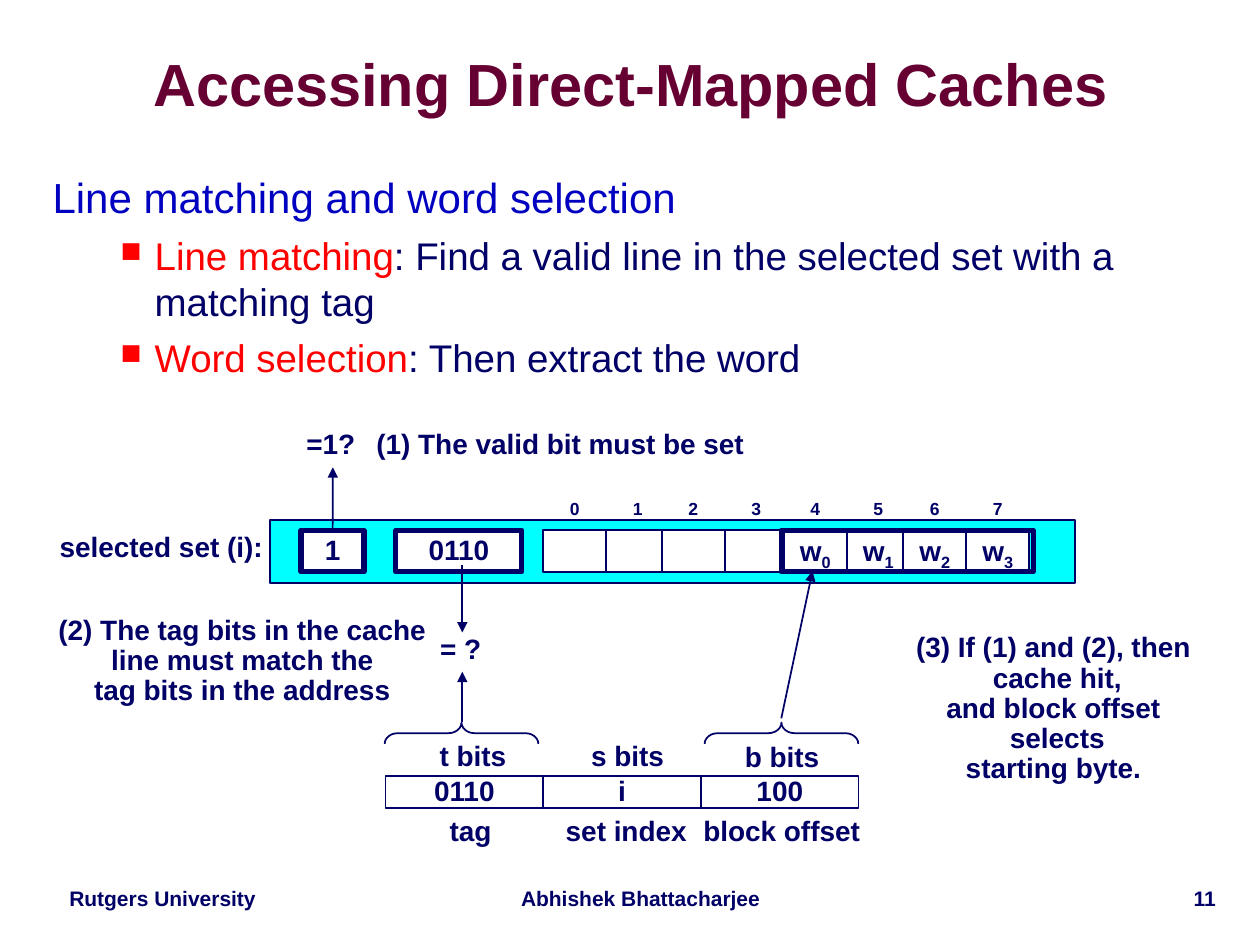
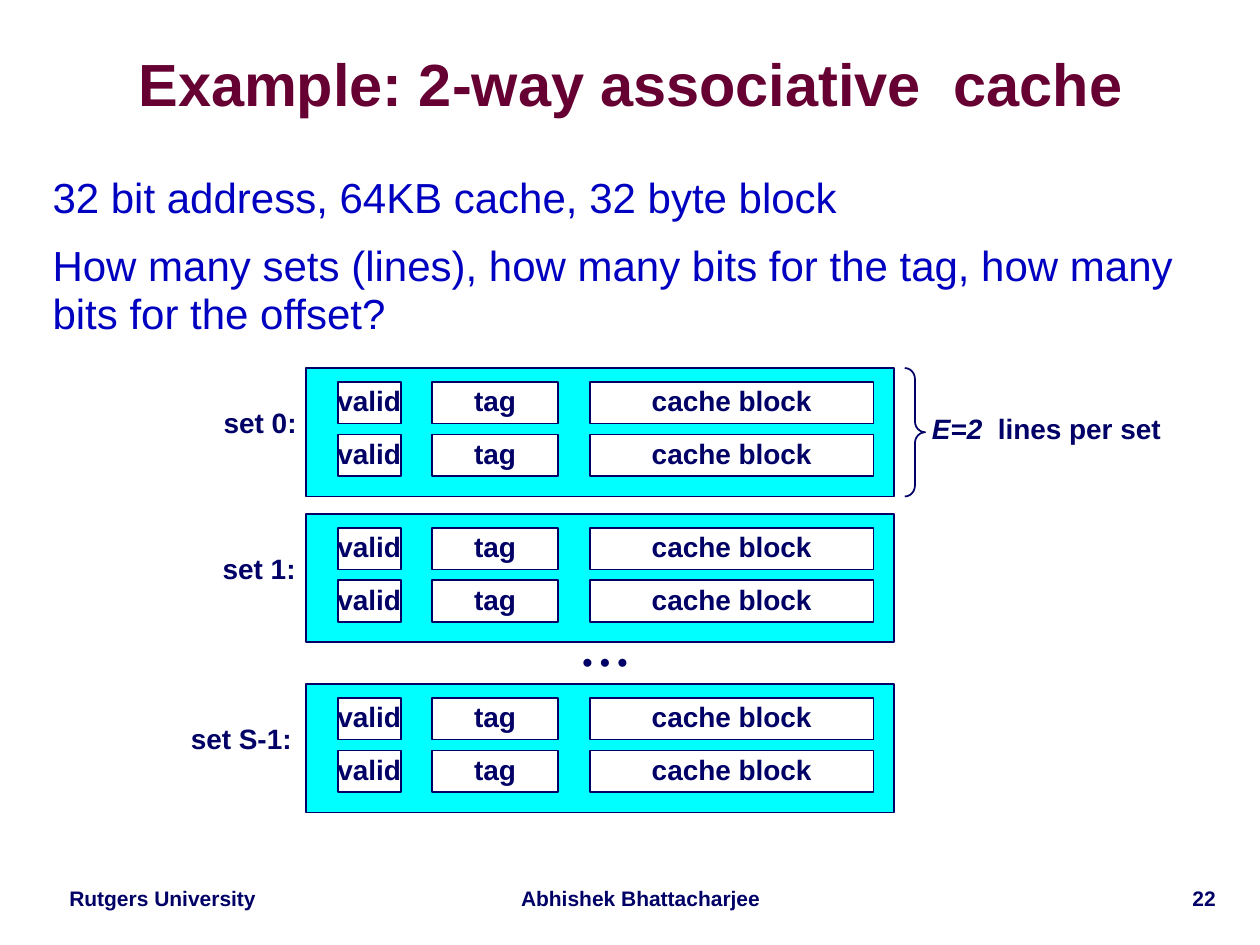
from lxml.etree import SubElement
from pptx import Presentation
from pptx.dml.color import RGBColor
from pptx.enum.shapes import MSO_CONNECTOR, MSO_SHAPE
from pptx.enum.text import MSO_ANCHOR, PP_ALIGN
from pptx.oxml.ns import qn
from pptx.util import Cm, Pt

NAVY = RGBColor(0x00, 0x00, 0x66)
WINE = RGBColor(0x66, 0x00, 0x33)
BLUE = RGBColor(0x00, 0x00, 0xC0)
RED = RGBColor(0xFF, 0x00, 0x00)
CYAN = RGBColor(0x00, 0xFF, 0xFF)
WHITE = RGBColor(0xFF, 0xFF, 0xFF)
FONT = "Arial"
CELL = 0.84


def style(par, size, color=NAVY, bold=True, align=PP_ALIGN.CENTER, space=0.9):
    """Set the font, alignment and line spacing of a paragraph."""
    par.alignment = align
    par.line_spacing = space
    font = par.font
    font.name, font.size, font.bold = FONT, Pt(size), bold
    font.color.rgb = color


def write(shape, text, size=16, **look):
    """Write centred lines of text that do not wrap."""
    frame = shape.text_frame
    frame.word_wrap = False
    frame.vertical_anchor = MSO_ANCHOR.MIDDLE
    frame.text = text
    for par in frame.paragraphs:
        style(par, size, **look)


def label(slide, text, x, y, w, h=0.94, size=16, **look):
    """Add a text box and return it."""
    item = slide.shapes.add_textbox(Cm(x), Cm(y), Cm(w), Cm(h))
    write(item, text, size, **look)
    return item


def shape(slide, kind, x, y, w, h, fill=None, line=1):
    """Add an outlined preset shape, filled if a colour is given."""
    item = slide.shapes.add_shape(kind, Cm(x), Cm(y), Cm(w), Cm(h))
    item.shadow.inherit = False
    item.line.color.rgb = NAVY
    item.line.width = Pt(line)
    if fill is None:
        item.fill.background()
    else:
        item.fill.solid()
        item.fill.fore_color.rgb = fill
    return item


def box(slide, x, y, w, h, text="", fill=WHITE, line=1):
    """Add a rectangle with optional text."""
    item = shape(slide, MSO_SHAPE.RECTANGLE, x, y, w, h, fill, line)
    if text:
        write(item, text)
    return item


def brace(slide, x, y, w, h, bend, turn=0):
    """Add a right brace, turned by some degrees."""
    item = shape(slide, MSO_SHAPE.RIGHT_BRACE, x, y, w, h)
    item.adjustments[0] = bend
    item.rotation = turn


def arrow(slide, x1, y1, x2, y2):
    """Add a line with an arrowhead at its end."""
    item = slide.shapes.add_connector(
        MSO_CONNECTOR.STRAIGHT, Cm(x1), Cm(y1), Cm(x2), Cm(y2))
    item.line.color.rgb = NAVY
    item.line.width = Pt(1)
    SubElement(item.line._get_or_add_ln(), qn("a:tailEnd"), type="triangle")
    SubElement(item._element.spPr, qn("a:effectLst"))
    return item


def body(slide):
    """Add the wide frame that holds the main text."""
    frame = slide.shapes.add_textbox(Cm(0.81), Cm(3.4), Cm(23.95), Cm(13.97)).text_frame
    frame.word_wrap = True
    return frame


def lead(par, text):
    """Write a blue top-level paragraph."""
    par.text = text
    style(par, 24, BLUE, False, PP_ALIGN.LEFT, 0.95)


def point(frame, term, rest):
    """Add a bullet that opens with a red term."""
    par = frame.add_paragraph()
    props = par._p.get_or_add_pPr()
    props.set("marL", str(Cm(2.06)))
    props.set("indent", str(Cm(-0.69)))
    SubElement(props, qn("a:buSzPct"), val="75000")
    SubElement(props, qn("a:buChar"), char="■")
    par.space_before = Pt(5.5)
    style(par, 22, NAVY, False, PP_ALIGN.LEFT, 1.0)
    for text, color in ((term, RED), (rest, NAVY)):
        run = par.add_run()
        run.text = text
        run.font.color.rgb = color


def page(deck, title, number):
    """Add a slide with its title and footers."""
    slide = deck.slides.add_slide(deck.slide_layouts[6])
    head = label(slide, title, 0.79, 0.69, 23.85, 2.16, 34, color=WINE, space=0.87)
    frame = head.text_frame
    frame.word_wrap = True
    frame.margin_left = frame.margin_right = frame.margin_top = frame.margin_bottom = 0
    for text, x, w, align in (
            ("Rutgers University", 0.84, 4.88, PP_ALIGN.CENTER),
            ("Abhishek Bhattacharjee", 10.16, 5.51, PP_ALIGN.CENTER),
            (str(number), 20.75, 4.01, PP_ALIGN.RIGHT)):
        foot = label(slide, text, x, 17.78, w, 0.71, 12, align=align)
        foot.text_frame.word_wrap = True
    return slide


def cache(slide):
    """Draw the selected set with its valid bit, tag and words."""
    top = 10.69
    box(slide, 5.44, 10.49, 16.23, 1.27, fill=CYAN)
    label(slide, "selected set (i):", 0.94, 10.59, 4.62)
    valid = box(slide, 6.07, top, 1.27, CELL, "1", line=3)
    box(slide, 7.98, top, 2.54, CELL, "0110", line=3)
    for byte, x in enumerate((10.95, 12.22, 13.34, 14.61, 15.8, 17.07, 18.21, 19.48)):
        label(slide, str(byte), x, 9.86, 1.27, CELL, 10)
        word = box(slide, x, top, 1.27, CELL, "w" if byte > 3 else "")
        if byte > 3:
            run = word.text_frame.paragraphs[0].add_run()
            run.text = str(byte - 4)
            run._r.get_or_add_rPr().set("baseline", "-25000")
    box(slide, 15.75, top, 5.08, CELL, fill=None, line=3)
    arrow(slide, 6.71, top, 6.71, 9.42).begin_connect(valid, 0)


def address(slide):
    """Draw the three address fields with their names."""
    for col, bits in enumerate(("0110", "i", "100")):
        box(slide, 7.77 + 3.18 * col, 15.65, 3.18, 0.64, bits, fill=None)
    for text, x, y, w in (
            ("t bits", 8.61, 14.81, 1.85), ("s bits", 11.66, 14.81, 1.98),
            ("b bits", 14.76, 14.83, 2.01), ("tag", 8.81, 16.33, 1.35),
            ("set index", 11.15, 16.33, 2.95), ("block offset", 13.92, 16.33, 3.68)):
        label(slide, text, x, y, w, 0.91)
    for x in (9.09, 15.54):
        brace(slide, x, 13.23, 0.43, 3.1, 0.61, 270)


def steps(slide):
    """Explain the three checks and point at their parts."""
    label(slide, "=1?", 5.92, 8.51, 1.5)
    label(slide, "(1) The valid bit must be set", 7.32, 8.51, 7.95)
    label(slide, "(2) The tag bits in the cache\nline must match the\n"
          "tag bits in the address", 0.91, 12.19, 7.95, 2.29)
    label(slide, "= ?", 8.61, 12.65, 1.35)
    label(slide, "(3) If (1) and (2), then \ncache hit,\nand block offset \n"
          "selects\nstarting byte. ", 18.19, 12.47, 6.25, 3.66)
    arrow(slide, 9.32, 11.38, 9.32, 12.75)
    arrow(slide, 9.32, 14.55, 9.32, 13.54)
    arrow(slide, 15.75, 14.48, 16.38, 11.51)


def pair(slide, name, x, w, y):
    """Draw a named set of two cache lines."""
    box(slide, 6.17, y, 11.86, 2.59, fill=CYAN)
    label(slide, name, x, y + 0.69, w, 0.89)
    for row in range(2):
        for text, left, width in (
                ("valid", 6.81, 1.27), ("tag", 8.71, 2.54), ("cache block", 11.89, 5.72)):
            box(slide, left, y + 0.28 + 1.06 * row, width, CELL, text)


def direct(deck):
    """Build the slide on direct-mapped access."""
    slide = page(deck, "Accessing Direct-Mapped Caches", 11)
    frame = body(slide)
    lead(frame.paragraphs[0], "Line matching and word selection")
    point(frame, "Line matching", ": Find a valid line in the selected set with a matching tag")
    point(frame, "Word selection", ": Then extract the word")
    cache(slide)
    address(slide)
    steps(slide)


def twoway(deck):
    """Build the slide on the two-way example."""
    slide = page(deck, "Example: 2-way associative  cache", 22)
    frame = body(slide)
    lead(frame.paragraphs[0], "32 bit address, 64KB cache, 32 byte block")
    par = frame.add_paragraph()
    lead(par, "How many sets (lines), how many bits for the tag, "
         "how many bits for the offset?")
    par.space_before = Pt(12)
    for name, x, w, y in (("set 0:", 4.24, 2.01, 7.42), ("set 1:", 4.22, 2.01, 10.36),
                          ("set S-1:", 3.58, 2.57, 13.79)):
        pair(slide, name, x, w, y)
    label(slide, "• • •", 11.25, 12.95, 1.9, CELL)
    brace(slide, 18.24, 7.42, 0.41, 2.59, 0.54)
    note = label(slide, "E=2", 18.49, 8.23, 5.21, 0.89).text_frame.paragraphs[0]
    note.runs[0].font.italic = True
    note.add_run().text = "  lines per set"


def main():
    """Build and save the deck."""
    deck = Presentation()
    deck.slide_width, deck.slide_height = Cm(25.4), Cm(19.05)
    direct(deck)
    twoway(deck)
    deck.save("out.pptx")


if __name__ == "__main__":
    main()
